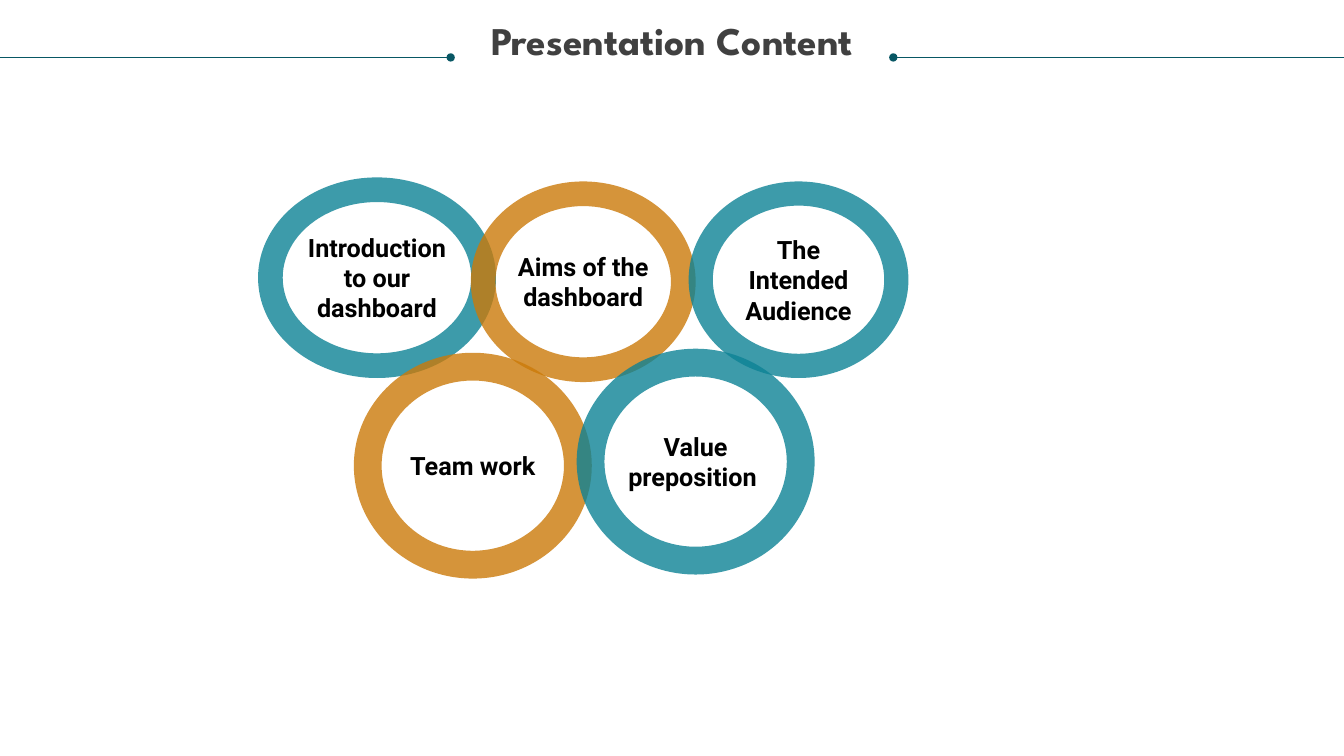
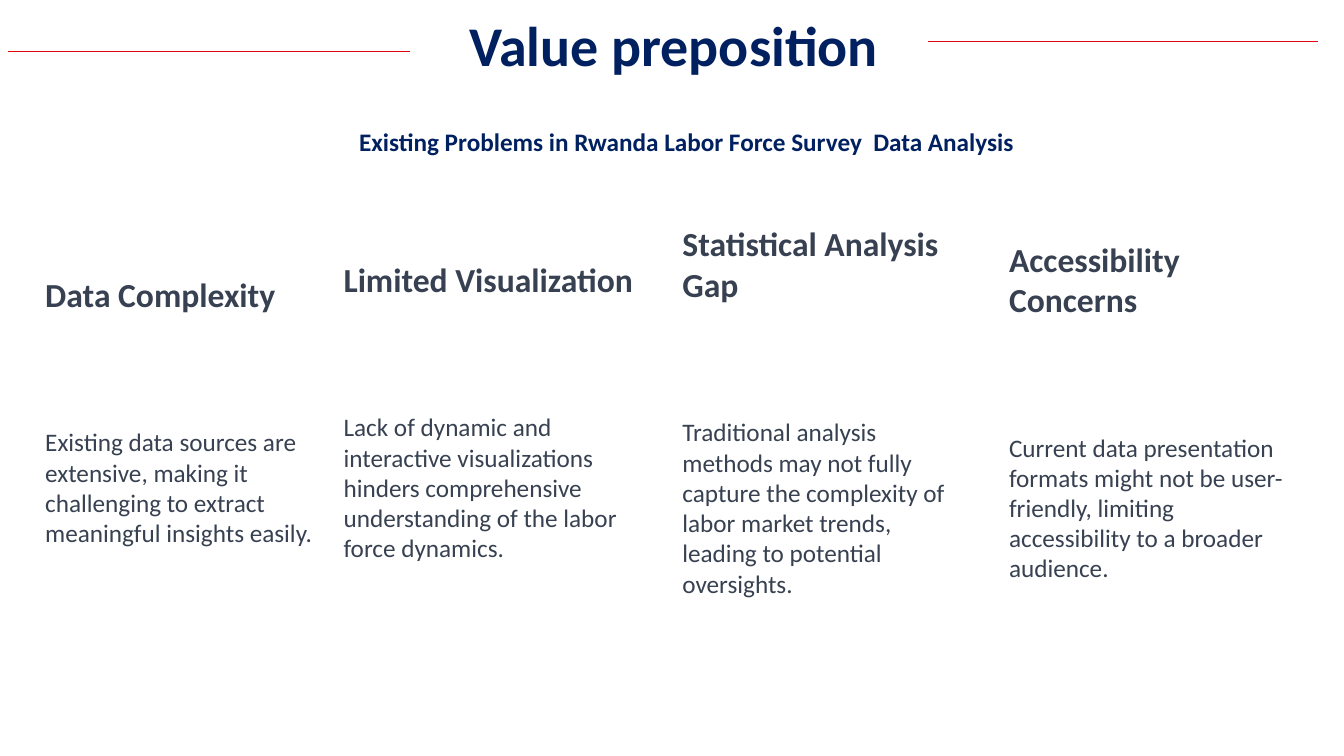
from dataclasses import dataclass

from lxml import etree
from pptx import Presentation
from pptx.dml.color import RGBColor
from pptx.enum.shapes import MSO_CONNECTOR, MSO_SHAPE
from pptx.enum.text import MSO_ANCHOR, PP_ALIGN
from pptx.oxml.ns import qn
from pptx.util import Inches, Pt

STRAIGHT = MSO_CONNECTOR.STRAIGHT
DONUT = MSO_SHAPE.DONUT
TOP, MIDDLE = MSO_ANCHOR.TOP, MSO_ANCHOR.MIDDLE
LEFT, CENTER = PP_ALIGN.LEFT, PP_ALIGN.CENTER


@dataclass(frozen=True)
class Theme:
    teal: str = "0D8295"
    orange: str = "CB7A09"
    dark_teal: str = "085764"
    red: str = "E20613"
    navy: str = "002060"
    slate: str = "374151"
    grey: str = "404040"
    black: str = "000000"
    display_font: str = "League Spartan"
    ring_font: str = "Roboto"
    body_font: str = "Calibri"
    title_size: int = 28
    big_title_size: int = 40
    heading_size: int = 24
    body_size: int = 18
    rule_width: float = 0.5
    ring_opacity: int = 80


THEME = Theme()


def add_rule(slide, x1, x2, y, color, oval_end=None):
    """Draw a thin horizontal line; oval_end is None, "headEnd" or "tailEnd"."""
    rule = slide.shapes.add_connector(STRAIGHT, Inches(x1), Inches(y), Inches(x2), Inches(y))
    rule.line.color.rgb = RGBColor.from_string(color)
    rule.line.width = Pt(THEME.rule_width)
    if oval_end:
        etree.SubElement(rule.line._get_or_add_ln(), qn(f"a:{oval_end}"), type="oval")
    etree.SubElement(rule._element.spPr, qn("a:effectLst"))


def write_text(sp, lines, font, color, align=CENTER, anchor=MIDDLE):
    """Fill a shape with paragraphs given as (text, size, bold)."""
    tf = sp.text_frame
    tf.word_wrap = True
    tf.vertical_anchor = anchor
    for i, (text, size, bold) in enumerate(lines):
        p = tf.add_paragraph() if i else tf.paragraphs[0]
        p.text = text
        p.alignment = align
        p.font.name = font
        p.font.size = Pt(size)
        p.font.bold = bold
        p.font.color.rgb = RGBColor.from_string(color)
    return tf


prs = Presentation()
prs.slide_width, prs.slide_height = Inches(13.33), Inches(7.5)
blank = prs.slide_layouts[6]

# Slide 1: presentation content
s = prs.slides.add_slide(blank)
add_rule(s, 8.86, 13.33, 0.57, THEME.dark_teal, "headEnd")
title = s.shapes.add_textbox(Inches(0.25), Inches(0.21), Inches(12.83), Inches(0.85))
tf = write_text(title, [("Presentation Content", THEME.title_size, True)],
                THEME.display_font, THEME.grey, anchor=TOP)
tf.margin_left = tf.margin_right = tf.margin_top = tf.margin_bottom = 0
tf.paragraphs[0].line_spacing = 0.9
add_rule(s, 0, 4.47, 0.57, THEME.dark_teal, "tailEnd")

rings = [
    ("Introduction to our dashboard", THEME.teal, (2.56, 1.76, 2.36, 1.99)),
    ("Aims of the dashboard", THEME.orange, (4.67, 1.8, 2.23, 1.99)),
    ("The Intended Audience", THEME.teal, (6.83, 1.8, 2.18, 1.95)),
    ("Team work", THEME.orange, (3.51, 3.5, 2.36, 2.24)),
    ("Value preposition ", THEME.teal, (5.72, 3.46, 2.36, 2.24)),
]
for text, color, box in rings:
    ring = s.shapes.add_shape(DONUT, *map(Inches, box))
    ring.adjustments[0] = 0.123
    ring.shadow.inherit = False
    ring.line.fill.background()
    ring.fill.solid()
    ring.fill.fore_color.rgb = RGBColor.from_string(color)
    fill_color = ring._element.spPr.find(qn("a:solidFill"))[0]
    etree.SubElement(fill_color, qn("a:alpha"), val=str(THEME.ring_opacity * 1000))
    write_text(ring, [(text, THEME.body_size, True)], THEME.ring_font, THEME.black)

# Slide 2: value preposition
s = prs.slides.add_slide(blank)
add_rule(s, 0.08, 4.07, 0.51, THEME.red)
add_rule(s, 9.2, 13.07, 0.41, THEME.red)
banners = [
    ("Value preposition ", THEME.big_title_size, (4.4, 0.16, 4.69, 0.55)),
    ("Existing Problems in Rwanda Labor Force Survey  Data Analysis", THEME.body_size,
     (2.79, 1.18, 8.04, 0.44)),
]
for text, size, box in banners:
    banner = s.shapes.add_textbox(*map(Inches, box))
    write_text(banner, [(text, size, True)], THEME.body_font, THEME.navy)

problems = [
    (0.35, 2.89, "Data Complexity",
     "Existing data sources are extensive, making it challenging to extract "
     "meaningful insights easily."),
    (3.31, 3.07, "Limited Visualization",
     "Lack of dynamic and interactive visualizations hinders comprehensive "
     "understanding of the labor force dynamics."),
    (6.67, 2.96, "Statistical Analysis Gap",
     "Traditional analysis methods may not fully capture the complexity of "
     "labor market trends, leading to potential oversights."),
    (9.91, 3.07, "Accessibility Concerns",
     "Current data presentation formats might not be user-friendly, limiting "
     "accessibility to a broader audience."),
]
for left, width, heading, body in problems:
    column = s.shapes.add_textbox(Inches(left), Inches(2.13), Inches(width), Inches(4.19))
    tf = write_text(column, [(heading, THEME.heading_size, True), (body, THEME.body_size, False)],
                    THEME.body_font, THEME.slate, align=LEFT)
    tf.margin_bottom = Inches(0.35)
    tf.paragraphs[1].space_before = Pt(80.5)

prs.save("out.pptx")
